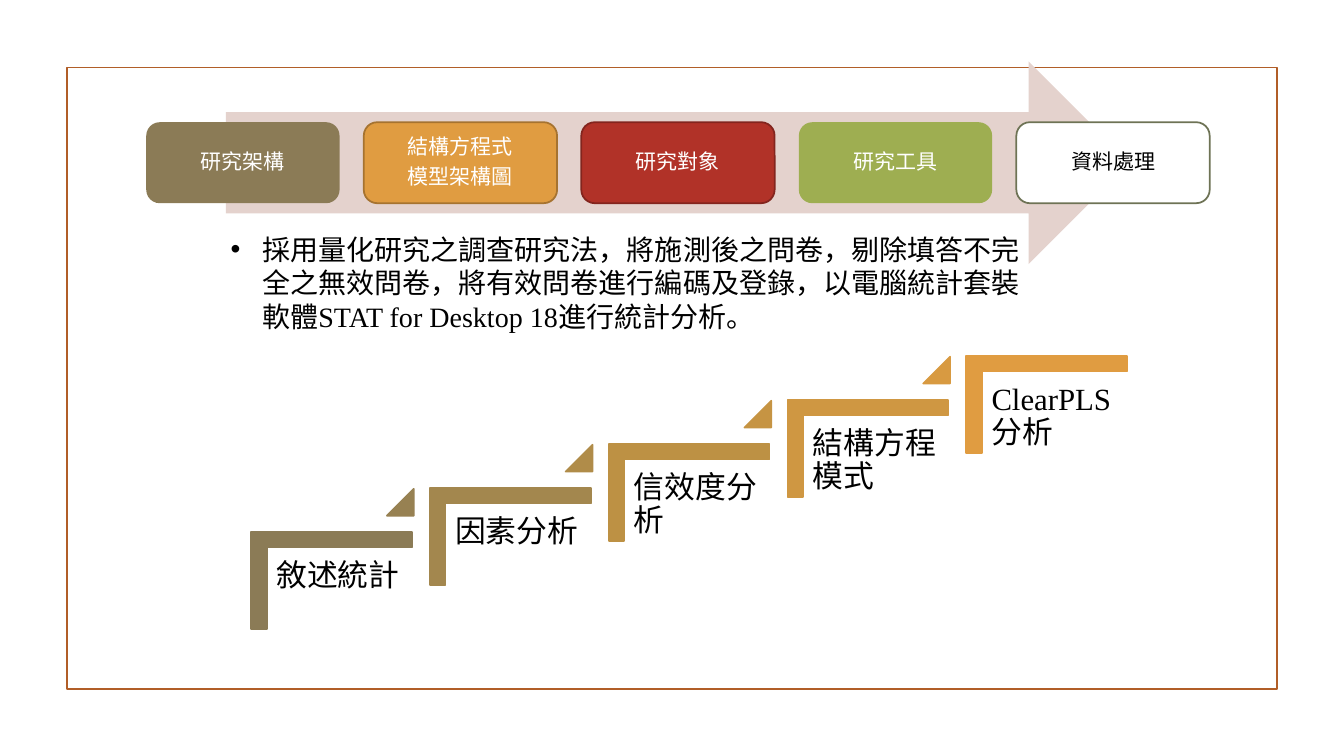
import pptx
import pptx.util
import pptx.dml.color
import pptx.enum.shapes
import pptx.enum.text
import pptx.oxml
import pptx.oxml.ns

Pt = pptx.util.Pt
Kind = pptx.enum.shapes.MSO_SHAPE
Align = pptx.enum.text.PP_ALIGN
Anchor = pptx.enum.text.MSO_ANCHOR

HUES = {
    "frame": "B15E28", "arrow": "E4D2CD", "ink": "000000", "white": "FFFFFF",
    "olive": "8B7B56", "amber": "E09C41", "amber line": "A67330",
    "red": "B13228", "red line": "83251E", "green": "9EAE51",
    "moss": "6E7355",
}
CHIPS = [
    (["研究架構"], "olive", None, "white"),
    (["結構方程式", "模型架構圖"], "amber", "amber line", "white"),
    (["研究對象"], "red", "red line", "white"),
    (["研究工具"], "green", None, "white"),
    (["資料處理"], "white", "moss", "ink"),
]
# Each step: label, colour of its corner, colour of the triangle after it
STEPS = [
    ("敘述統計", "8B7B56", "978152"),
    ("因素分析", "A3874E", "B08C49"),
    ("信效度分析", "BD9144", "C69443"),
    ("結構方程模式", "CF9742", "D89A41"),
    ("ClearPLS分析", "E09C41", None),
]
BODY = ("採用量化研究之調查研究法，將施測後之問卷，剔除填答不完全之無效問卷，"
        "將有效問卷進行編碼及登錄，以電腦統計套裝軟體STAT for Desktop 18進行統計分析。")
LATIN, ASIAN = "Times New Roman", "Noto Sans CJK SC"

deck = pptx.Presentation()
deck.slide_width = pptx.util.Inches(13.33)
deck.slide_height = pptx.util.Inches(7.5)
slide = deck.slides.add_slide(deck.slide_layouts[6])


def area(x, y, w, h):
    """Turn percent of the slide's width and height into a box."""
    wide, high = deck.slide_width / 100, deck.slide_height / 100
    return x * wide, y * high, w * wide, h * high


def paint(hue):
    return pptx.dml.color.RGBColor.from_string(HUES.get(hue, hue))


def draw(kind, box, fill=None, line=None, adjust=()):
    shape = slide.shapes.add_shape(kind, *map(round, box))
    shape.shadow.inherit = False
    if fill:
        shape.fill.solid()
        shape.fill.fore_color.rgb = paint(fill)
    else:
        shape.fill.background()
    if line:
        shape.line.color.rgb = paint(line)
        shape.line.width = Pt(1.25)
    else:
        shape.line.fill.background()
    for i, value in enumerate(adjust):
        shape.adjustments[i] = value
    return shape


def write(lines, box, size, lead, hue="ink", pad=(7.2, 3.6), after=0,
          align=Align.LEFT, anchor=Anchor.TOP, bullet=False):
    """Place text; lead, pad and after are in points."""
    frame = slide.shapes.add_textbox(*map(round, box)).text_frame
    frame.word_wrap = True
    frame.vertical_anchor = anchor
    frame.margin_left = frame.margin_right = Pt(pad[0])
    frame.margin_top = frame.margin_bottom = Pt(pad[1])
    for i, line in enumerate(lines):
        para = frame.paragraphs[0] if i == 0 else frame.add_paragraph()
        para.alignment = align
        para.line_spacing = Pt(lead)
        para.space_after = Pt(after if i < len(lines) - 1 else 0)
        if bullet:
            props = para._p.get_or_add_pPr()
            props.set("marL", str(Pt(22.5)))
            props.set("indent", str(-Pt(22.5)))
            for tag, key, value in (("a:buFont", "typeface", "Arial"),
                                    ("a:buChar", "char", "•")):
                mark = pptx.oxml.ns.qn(tag)
                props.append(props.makeelement(mark, {key: value}))
        run = para.add_run()
        run.text = line
        run.font.size = Pt(size)
        run.font.name = LATIN
        run.font.color.rgb = paint(hue)
        asian = run._r.rPr.makeelement(pptx.oxml.ns.qn("a:ea"),
                                       {"typeface": ASIAN})
        run._r.rPr.append(asian)


def flow(box):
    """Draw the arrow with a row of chips, gaps one eighth of a chip."""
    x, y, w, h = box
    draw(Kind.RIGHT_ARROW, (x + 0.075 * w, y, 0.85 * w, h), "arrow")
    wide = w / (len(CHIPS) + (len(CHIPS) - 1) / 8)
    for i, (lines, fill, line, ink) in enumerate(CHIPS):
        chip = x + i * wide * 9 / 8, y + 0.3 * h, wide, 0.4 * h
        draw(Kind.ROUNDED_RECTANGLE, chip, fill, line)
        write(lines, chip, 15, 16.2, ink, pad=(7, 7), after=5.25,
              align=Align.CENTER, anchor=Anchor.MIDDLE)


def stairs(box):
    """Draw rising steps; each is 0.9 pitch wide and 2.2 rises high."""
    x, y, w, h = box
    last = len(STEPS) - 1
    pitch, rise = w / (last + 0.9), h / (last + 2.2)
    wide, high = 0.9 * pitch, 2.2 * rise
    for i, (label, hue, next_hue) in enumerate(STEPS):
        left, top = x + i * pitch, y + (last - i) * rise
        turned = (left + (wide - high) / 2, top + (high - wide) / 2,
                  high, wide)
        corner = draw(Kind.CORNER, turned, hue, hue, (0.161, 0.161))
        corner.rotation = 90
        write([label], (left + 0.09 * pitch, top + 0.37 * rise,
                        0.82 * pitch, 2.9 * rise), 22, 23.8, pad=(6.6, 8))
        if next_hue:
            side = 0.15 * pitch
            draw(Kind.ISOSCELES_TRIANGLE,
                 (left + 0.76 * pitch, top - 0.98 * rise, side, side),
                 next_hue, next_hue, (1,))


draw(Kind.RECTANGLE, area(5, 8.93, 90, 82.27), line="frame")
flow(area(10.88, 8.13, 79.13, 26.8))
write([BODY], area(16.43, 30, 60.98, 14.8), 20, 24.2, bullet=True)
stairs(area(18.68, 47.07, 65.18, 36.13))
deck.save("out.pptx")
